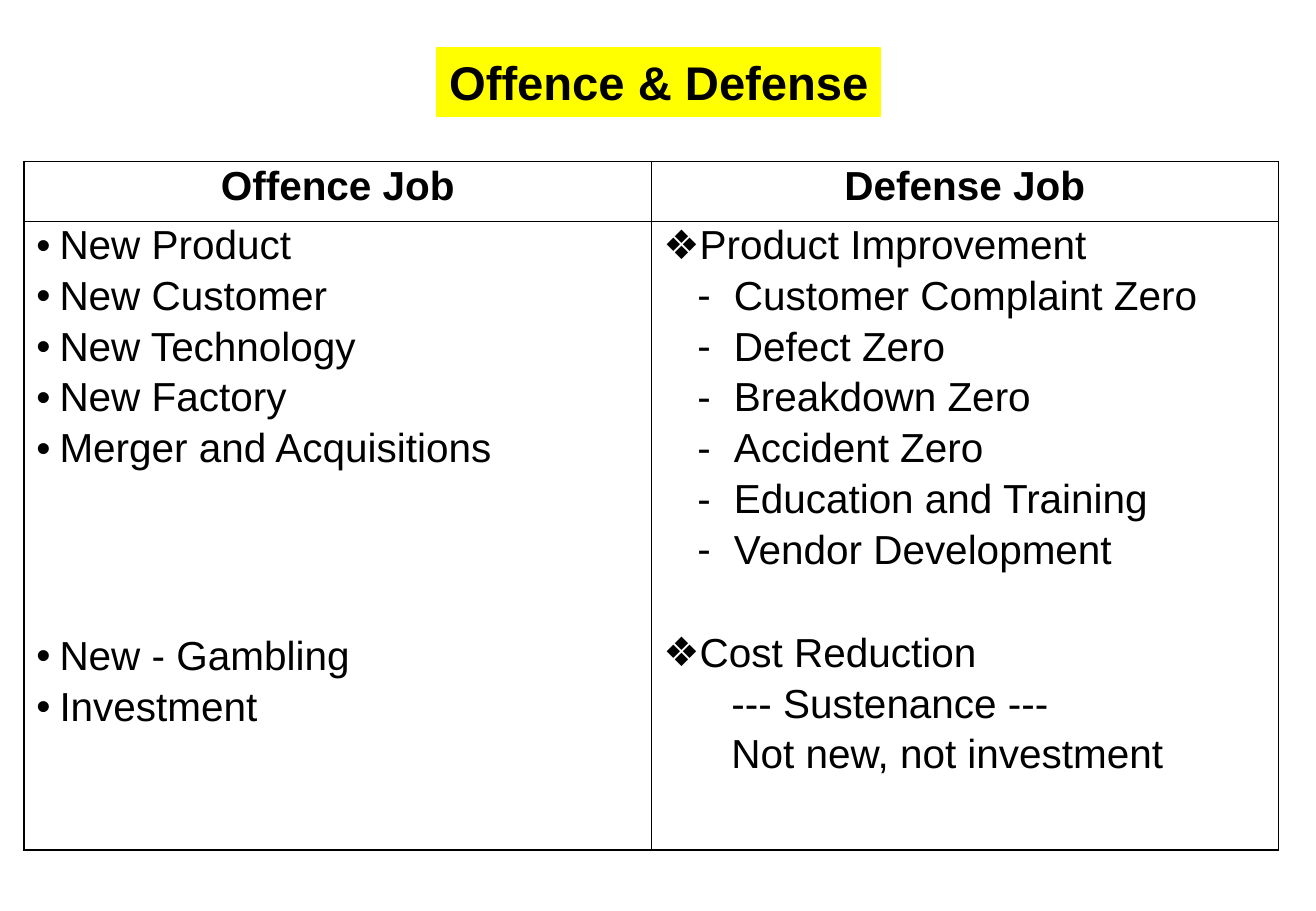
"""Build the Offence & Defense comparison slide."""
from lxml import etree
from pptx import Presentation
from pptx import util as u
from pptx.dml.color import RGBColor
from pptx.enum import text
from pptx.oxml import ns

COLORS = {"black": "000000", "highlight": "FFFF00"}
FONT = "Arial"
OUTER, INNER = 1.08, 0.45
HEADERS = ["Offence Job", "Defense Job"]
BULLET_STYLES = {
    "dot": ("•", 0.19, -0.19),
    "diamond": ("❖", 0.25, -0.25),
    "dash": ("-", 0.58, -0.3),
    "plain": (None, 0.56, 0),
}
JOBS = [
    [
        ("dot", "New Product", 0),
        ("dot", "New Customer", 6),
        ("dot", "New Technology", 6),
        ("dot", "New Factory", 6),
        ("dot", "Merger and Acquisitions", 6),
        ("dot", "New - Gambling", 99),
        ("dot", "Investment", 6),
    ],
    [
        ("diamond", "Product Improvement", 0),
        ("dash", "Customer Complaint Zero", 6),
        ("dash", "Defect Zero", 6),
        ("dash", "Breakdown Zero", 6),
        ("dash", "Accident Zero", 6),
        ("dash", "Education and Training", 6),
        ("dash", "Vendor Development", 6),
        ("diamond", "Cost Reduction", 37),
        ("plain", "--- Sustenance ---", 6),
        ("plain", "Not new, not investment", 6),
    ],
]


def add_run(paragraph, wording, size, bold):
    run = paragraph.add_run()
    run.text = wording
    run.font.name = FONT
    run.font.size = u.Pt(size)
    run.font.bold = bold
    run.font.color.rgb = RGBColor.from_string(COLORS["black"])


def add_border(cell, side, width):
    line = etree.SubElement(cell._tc.get_or_add_tcPr(), ns.qn(f"a:ln{side}"), w=str(u.Pt(width)))
    fill = etree.SubElement(line, ns.qn("a:solidFill"))
    etree.SubElement(fill, ns.qn("a:srgbClr"), val=COLORS["black"])


presentation = Presentation()
presentation.slide_width = u.Inches(10.84)
presentation.slide_height = u.Inches(7.5)
slide = presentation.slides.add_slide(presentation.slide_layouts[5])

title = slide.shapes.title
title.left, title.top = u.Inches(3.6), u.Inches(0.39)
title.width, title.height = u.Inches(3.65), u.Inches(0.57)
title.fill.solid()
title.fill.fore_color.rgb = RGBColor.from_string(COLORS["highlight"])
title.line.color.rgb = RGBColor.from_string(COLORS["highlight"])
title.line.width = u.Pt(0.75)
title_frame = title.text_frame
title_frame.word_wrap = True
title_frame.auto_size = text.MSO_AUTO_SIZE.NONE
title_frame.margin_right = 0
title_frame.vertical_anchor = text.MSO_ANCHOR.TOP
title_frame.paragraphs[0].alignment = text.PP_ALIGN.LEFT
add_run(title_frame.paragraphs[0], "Offence & Defense", 28, True)

table = slide.shapes.add_table(
    2, 2, u.Inches(0.2), u.Inches(1.33), u.Inches(10.33), u.Inches(5.67)
).table
table.first_row = False
table.horz_banding = False
table.rows[0].height = u.Inches(0.49)
table.rows[1].height = u.Inches(5.18)

for row in range(2):
    for column in range(2):
        cell = table.cell(row, column)
        add_border(cell, "L", INNER if column else OUTER)
        add_border(cell, "R", OUTER if column else INNER)
        add_border(cell, "T", INNER if row else OUTER)
        add_border(cell, "B", OUTER if row else INNER)
        cell.fill.background()

for column, (header, items) in enumerate(zip(HEADERS, JOBS)):
    paragraph = table.cell(0, column).text_frame.paragraphs[0]
    paragraph.alignment = text.PP_ALIGN.CENTER
    paragraph.line_spacing = 0.9
    add_run(paragraph, header, 24, True)

    frame = table.cell(1, column).text_frame
    for index, (style, wording, space) in enumerate(items):
        paragraph = frame.add_paragraph() if index else frame.paragraphs[0]
        bullet, margin, indent = BULLET_STYLES[style]
        properties = paragraph._p.get_or_add_pPr()
        properties.set("marL", str(u.Inches(margin)))
        properties.set("indent", str(u.Inches(indent)))
        if bullet:
            etree.SubElement(properties, ns.qn("a:buFont"), typeface=FONT)
            etree.SubElement(properties, ns.qn("a:buChar"), char=bullet)
        else:
            etree.SubElement(properties, ns.qn("a:buNone"))
        paragraph.line_spacing = 0.9
        paragraph.space_before = u.Pt(space)
        add_run(paragraph, wording, 24, False)

presentation.save("out.pptx")
